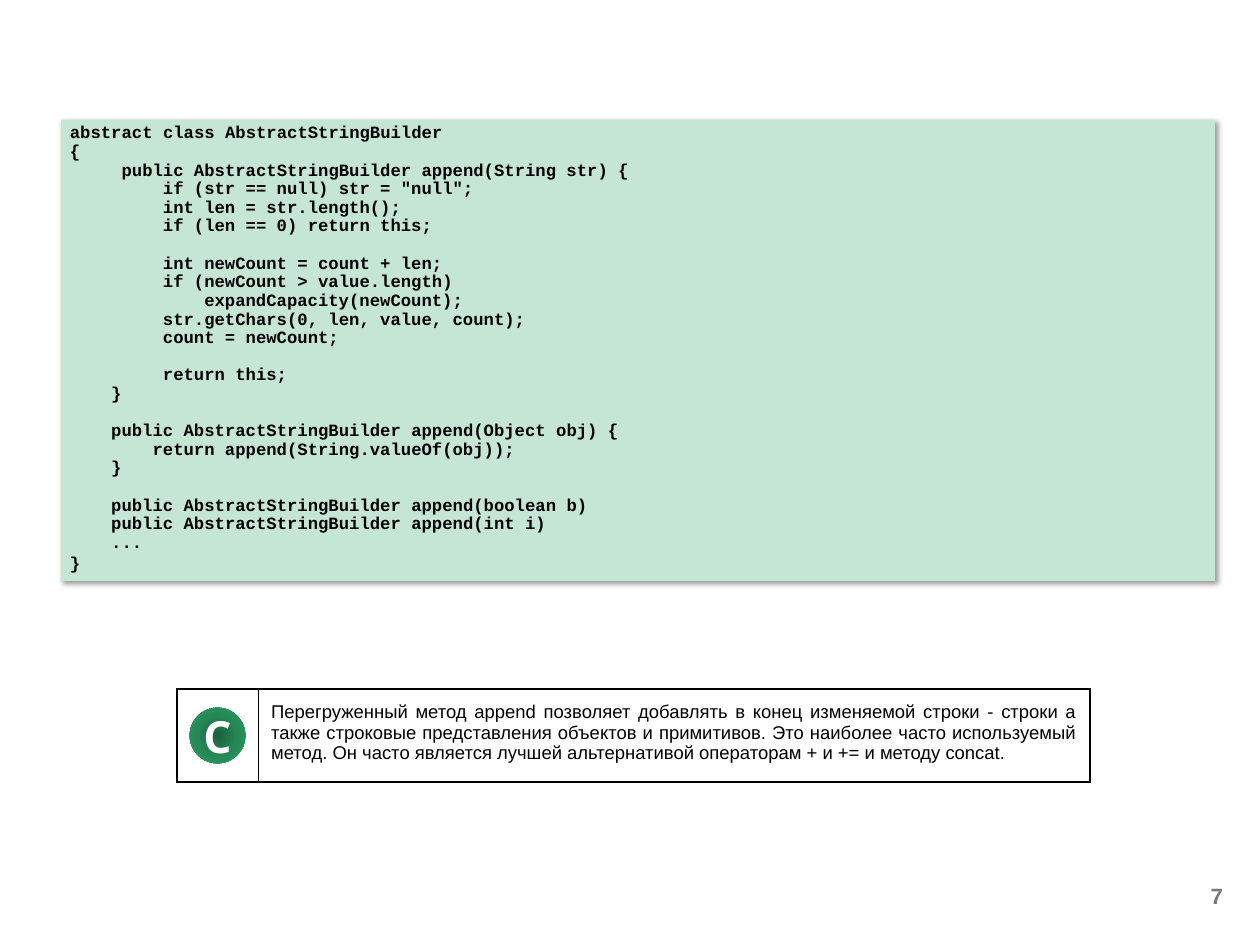
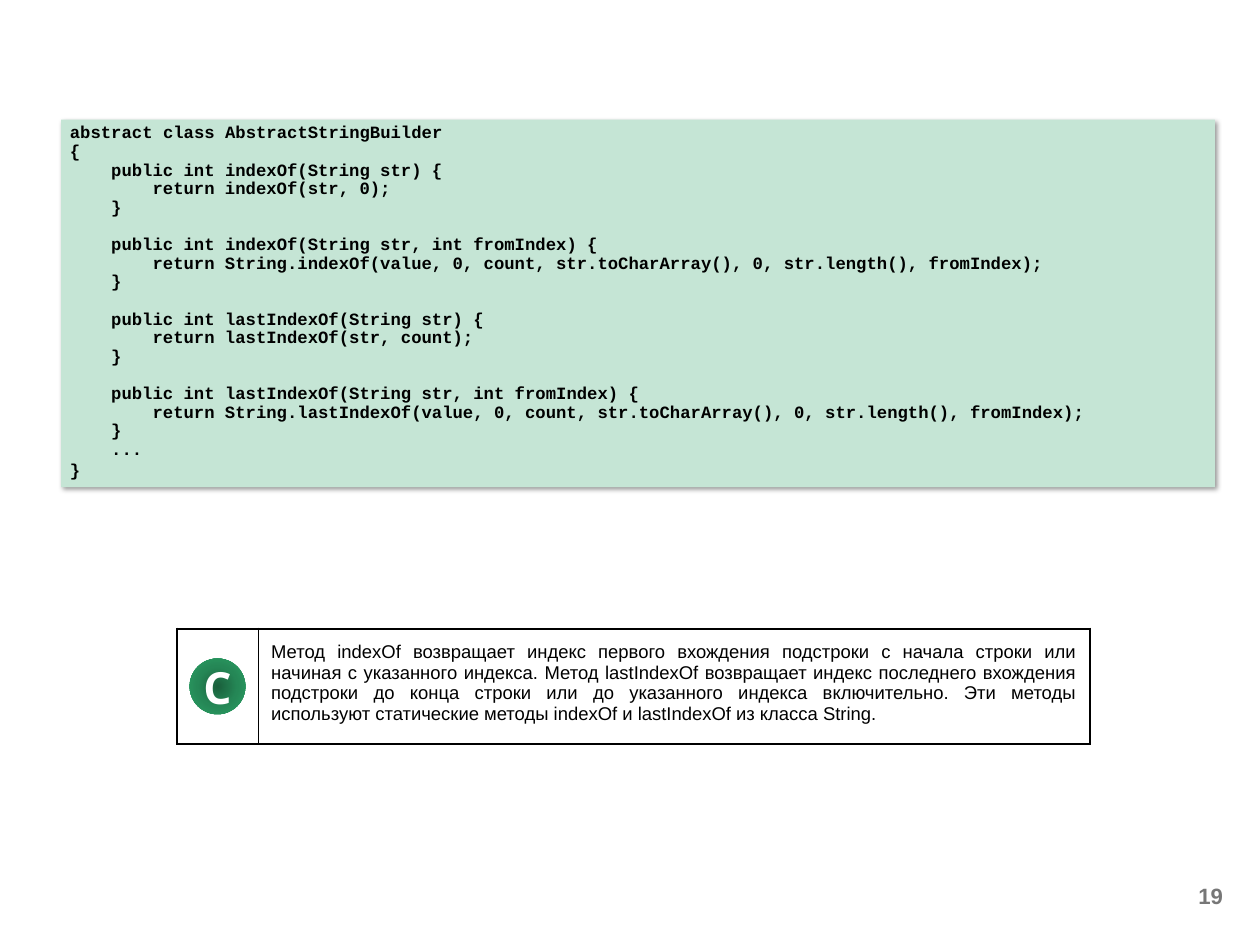
from pptx import Presentation
from pptx.dml.color import RGBColor
from pptx.enum.shapes import MSO_SHAPE
from pptx.enum.text import MSO_ANCHOR, PP_ALIGN
from pptx.oxml import parse_xml
from pptx.oxml.ns import nsdecls
from pptx.util import Inches, Pt

RECT, OVAL = MSO_SHAPE.RECTANGLE, MSO_SHAPE.OVAL
MID = MSO_ANCHOR.MIDDLE
LEFT, RIGHT = PP_ALIGN.LEFT, PP_ALIGN.RIGHT
MIDDLE, JUSTIFY = PP_ALIGN.CENTER, PP_ALIGN.JUSTIFY

# Content: page number, code, note, box height, note top and height
PAGES = [
    dict(num="7", tall=5.21, top=7.78, row=1.05, code="""\
abstract class AbstractStringBuilder
{
     public AbstractStringBuilder append(String str) {
         if (str == null) str = "null";
         int len = str.length();
         if (len == 0) return this;

         int newCount = count + len;
         if (newCount > value.length)
             expandCapacity(newCount);
         str.getChars(0, len, value, count);
         count = newCount;

         return this;
    }

    public AbstractStringBuilder append(Object obj) {
        return append(String.valueOf(obj));
    }

    public AbstractStringBuilder append(boolean b)
    public AbstractStringBuilder append(int i)
    ...
}""", note="Перегруженный метод append позволяет добавлять в конец "
         "изменяемой строки - строки а также строковые представления "
         "объектов и примитивов. Это наиболее часто используемый метод. "
         "Он часто является лучшей альтернативой операторам + и += "
         "и методу concat."),
    dict(num="19", tall=4.15, top=7.1, row=1.3, code="""\
abstract class AbstractStringBuilder
{
    public int indexOf(String str) {
        return indexOf(str, 0);
    }

    public int indexOf(String str, int fromIndex) {
        return String.indexOf(value, 0, count, str.toCharArray(), 0, str.length(), fromIndex);
    }

    public int lastIndexOf(String str) {
        return lastIndexOf(str, count);
    }

    public int lastIndexOf(String str, int fromIndex) {
        return String.lastIndexOf(value, 0, count, str.toCharArray(), 0, str.length(), fromIndex);
    }
    ...
}""", note="Метод indexOf возвращает индекс первого вхождения подстроки "
         "с начала строки или начиная с указанного индекса. Метод "
         "lastIndexOf возвращает индекс последнего вхождения подстроки до "
         "конца строки или до указанного индекса включительно. Эти методы "
         "используют статические методы indexOf и lastIndexOf из класса "
         "String."),
]

# Shared look
HUES = dict(mint="C5E5D5", ink="000000", paper="FFFFFF", gray="777777",
            deep="1A5F3C", green="258756", light="2BA166")
FONTS = dict(
    code=dict(name="Courier New", size=Pt(14), bold=True, hue="ink"),
    note=dict(name="Arial", size=Pt(15), bold=False, hue="ink"),
    num=dict(name="Arial", size=Pt(18), bold=True, hue="gray"),
    badge=dict(name="Open Sans", size=Pt(36), bold=True, hue="paper"))
WIDE, HIGH = 14.22, 10.67
COLS = (0.91, 9.39)
DISC = 0.63
CHAR = 14 * 0.6     # width of one code letter, points
LINE = 15.15        # pitch of the code lines, points
THICK, THIN = 2.25, 0.5
EDGES = (dict(L=THICK, R=THIN, T=THICK, B=THICK),
         dict(L=THIN, R=THICK, T=THICK, B=THICK))


def rgb(hue):
    return RGBColor.from_string(HUES[hue])


def write(par, text, style, align=LEFT):
    par.alignment = align
    run = par.add_run()
    run.text = text
    for key, val in FONTS[style].items():
        if key == "hue":
            run.font.color.rgb = rgb(val)
        else:
            setattr(run.font, key, val)


def shape(slide, kind, *box):
    item = slide.shapes.add_shape(kind, *map(Inches, box))
    item.line.fill.background()
    return item


def add_code(slide, page):
    box = shape(slide, RECT, 0.69, 1.35, 13.02, page["tall"])
    box.fill.solid()
    box.fill.fore_color.rgb = rgb("mint")
    box._element.spPr.append(parse_xml(
        f'<a:effectLst {nsdecls("a")}><a:outerShdw blurRad="{Pt(4)}" '
        f'dist="{Pt(3)}" dir="2700000" algn="tl" rotWithShape="0">'
        f'<a:srgbClr val="{HUES["ink"]}"><a:alpha val="40000"/></a:srgbClr>'
        '</a:outerShdw></a:effectLst>'))
    frame = box.text_frame
    frame.word_wrap = True
    frame.vertical_anchor = MSO_ANCHOR.TOP
    par, gap = frame.paragraphs[0], 0
    for row in page["code"].split("\n"):
        text = row.lstrip()
        if not text:
            gap += LINE
            continue
        if par.runs:
            par = frame.add_paragraph()
        write(par, text, "code")
        par.line_spacing = 1.0 if row == "}" else 0.9
        par.space_before = Pt(gap)
        props = par._p.get_or_add_pPr()
        props.set("marL", str(Pt(CHAR * (len(row) - len(text)))))
        props.set("indent", "0")
        gap = 0


def add_note(slide, page):
    top, row = page["top"], page["row"]
    table = slide.shapes.add_table(
        1, 2, *map(Inches, (2, top, sum(COLS), row))).table
    table.first_row = table.horz_banding = False
    for i, wide in enumerate(COLS):
        table.columns[i].width = Inches(wide)
        cell = table.cell(0, i)
        for side, wt in EDGES[i].items():
            cell._tc.get_or_add_tcPr().append(parse_xml(
                f'<a:ln{side} {nsdecls("a")} w="{Pt(wt)}"><a:solidFill>'
                f'<a:srgbClr val="{HUES["ink"]}"/></a:solidFill>'
                f'</a:ln{side}>'))
        cell.fill.solid()
        cell.fill.fore_color.rgb = rgb("paper")
    for side in ("left", "right", "top", "bottom"):
        setattr(cell, "margin_" + side, Inches(0.15))
    write(cell.text_frame.paragraphs[0], page["note"], "note", JUSTIFY)

    # Round badge, centred in the first column
    disc = shape(slide, OVAL, 2 + (COLS[0] - DISC) / 2,
                 top + (row - DISC) / 2, DISC, DISC)
    disc.shadow.inherit = False
    stops = "".join(
        f'<a:gs pos="{pos}"><a:srgbClr val="{HUES[hue]}"/></a:gs>'
        for pos, hue in ((0, "deep"), (50000, "green"), (100000, "light")))
    disc._element.spPr.prstGeom.addnext(parse_xml(
        f'<a:gradFill {nsdecls("a")}><a:gsLst>{stops}</a:gsLst>'
        '<a:path path="circle"><a:fillToRect l="50000" t="50000" '
        'r="50000" b="50000"/></a:path></a:gradFill>'))
    frame = disc.text_frame
    frame.vertical_anchor = MID
    for side in ("left", "right", "top", "bottom"):
        setattr(frame, "margin_" + side, 0)
    write(frame.paragraphs[0], "C", "badge", MIDDLE)


def add_num(slide, page):
    frame = slide.shapes.add_textbox(
        *map(Inches, (10.58, 9.85, 3.32, 0.53))).text_frame
    frame.word_wrap = True
    frame.vertical_anchor = MID
    write(frame.paragraphs[0], page["num"], "num", RIGHT)


def main():
    deck = Presentation()
    deck.slide_width, deck.slide_height = Inches(WIDE), Inches(HIGH)
    for page in PAGES:
        slide = deck.slides.add_slide(deck.slide_layouts[6])
        for add in (add_num, add_code, add_note):
            add(slide, page)
    deck.save("out.pptx")


if __name__ == "__main__":
    main()
